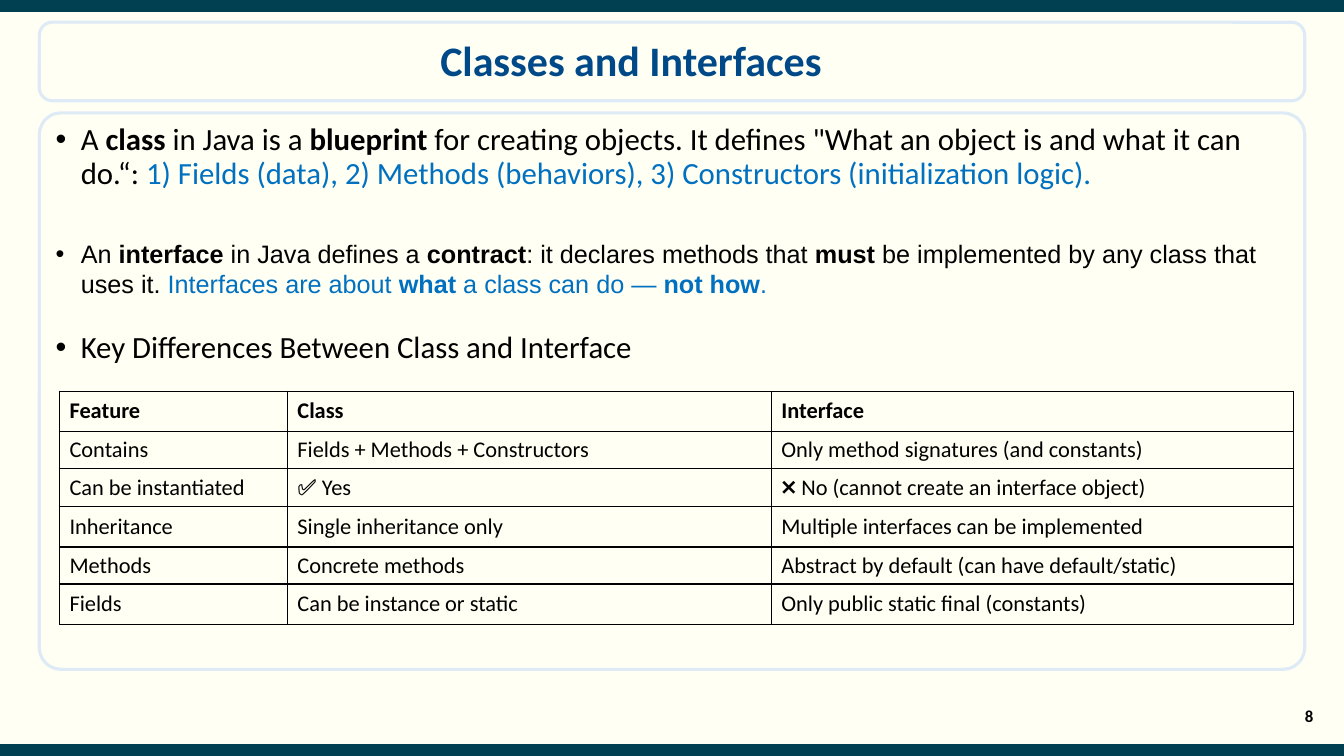
from dataclasses import dataclass

import pptx
import pptx.dml.color
import pptx.enum.shapes
import pptx.enum.text
import pptx.oxml.ns
import pptx.util
from lxml import etree

Inches = pptx.util.Inches
Pt = pptx.util.Pt
qn = pptx.oxml.ns.qn
ANCHOR = pptx.enum.text.MSO_ANCHOR
ALIGN = pptx.enum.text.PP_ALIGN
SHAPE = pptx.enum.shapes.MSO_SHAPE


@dataclass(frozen=True)
class Theme:
    background: str = "FFFFF4"
    bar: str = "004050"
    frame: str = "DEEBF7"
    title: str = "004989"
    ink: str = "000000"
    accent: str = "0070C0"
    font: str = "Calibri"
    alternate_font: str = "Arial"
    title_size: int = 30
    body_size: int = 22
    detail_size: int = 18
    table_size: int = 16
    number_size: int = 12


THEME = Theme()


@dataclass(frozen=True)
class Span:
    text: str
    bold: bool = False
    color: str = THEME.ink


@dataclass(frozen=True)
class Bullet:
    spans: tuple[Span, ...]
    size: int = THEME.body_size
    font: str = THEME.font
    space_before: float = 0
    line_spacing: float = 1.0


@dataclass(frozen=True)
class Area:
    left: float
    top: float
    width: float
    height: float

    def lengths(self) -> tuple:
        return tuple(map(Inches, (self.left, self.top, self.width, self.height)))


SLIDE_WIDTH, SLIDE_HEIGHT = 13.33, 7.5
BAR_CENTRES = (0.06, SLIDE_HEIGHT - 0.06)
TITLE_FRAME = Area(0.39, 0.22, 12.55, 0.78)
TITLE_AREA = Area(0.87, 0.22, 10.78, 0.74)
BODY_FRAME = Area(0.39, 1.12, 12.55, 5.52)
NUMBER_AREA = Area(12.73, 6.83, 0.51, 0.55)
TABLE_AREA = Area(0.59, 3.88, 12.25, 2.31)
COLUMN_WIDTHS = (2.26, 4.8, 5.18)
ROW_HEIGHTS = (0.4, 0.36, 0.38, 0.4, 0.34, 0.4)

BULLETS = (
    Bullet((
        Span("A "),
        Span("class", bold=True),
        Span(" in Java is a "),
        Span("blueprint", bold=True),
        Span(' for creating objects. It defines "What an object is and what it can do.“: '),
        Span("1) Fields (data), 2) Methods (behaviors), 3) Constructors (initialization logic).",
             color=THEME.accent),
    ), line_spacing=0.9),
    Bullet((
        Span("An "),
        Span("interface", bold=True),
        Span(" in Java defines a "),
        Span("contract", bold=True),
        Span(": it declares methods that "),
        Span("must", bold=True),
        Span(" be implemented by any class that uses it. "),
        Span("Interfaces are about ", color=THEME.accent),
        Span("what", bold=True, color=THEME.accent),
        Span(" a class can do — ", color=THEME.accent),
        Span("not how", bold=True, color=THEME.accent),
        Span(".", color=THEME.accent),
    ), size=THEME.detail_size, font=THEME.alternate_font, space_before=34),
    Bullet((Span("Key Differences Between Class and Interface"),), space_before=21),
)

DIFFERENCES = (
    ("Feature", "Class", "Interface"),
    ("Contains", "Fields + Methods + Constructors", "Only method signatures (and constants)"),
    ("Can be instantiated", "✅ Yes", "❌ No (cannot create an interface object)"),
    ("Inheritance", "Single inheritance only", "Multiple interfaces can be implemented"),
    ("Methods", "Concrete methods", "Abstract by default (can have default/static)"),
    ("Fields", "Can be instance or static", "Only public static final (constants)"),
)


def rgb(color: str) -> pptx.dml.color.RGBColor:
    return pptx.dml.color.RGBColor.from_string(color)


def apply(target, values: dict) -> None:
    for name, value in values.items():
        setattr(target, name, value)


def add_span(para, span: Span, size: int, font: str = THEME.font) -> None:
    run = para.add_run()
    run.text = span.text
    apply(run.font, {"name": font, "size": Pt(size), "bold": span.bold})
    run.font.color.rgb = rgb(span.color)


def add_bar(page, centre: float) -> None:
    height = Inches(centre)
    bar = page.shapes.add_connector(
        pptx.enum.shapes.MSO_CONNECTOR.STRAIGHT, 0, height, Inches(SLIDE_WIDTH), height)
    bar.line.color.rgb = rgb(THEME.bar)
    bar.line.width = Pt(9)
    etree.SubElement(bar._element.spPr, qn("a:effectLst"))


def add_frame(page, area: Area, corner: float):
    frame = page.shapes.add_shape(SHAPE.ROUNDED_RECTANGLE, *area.lengths())
    frame.adjustments[0] = corner
    frame.shadow.inherit = False
    frame.fill.background()
    frame.line.color.rgb = rgb(THEME.frame)
    frame.line.width = Pt(2.25)
    return frame


def add_label(page, area: Area, span: Span, size: int) -> None:
    box = page.shapes.add_textbox(*area.lengths())
    apply(box.text_frame, {"word_wrap": True, "vertical_anchor": ANCHOR.MIDDLE})
    para = box.text_frame.paragraphs[0]
    para.alignment = ALIGN.CENTER
    add_span(para, span, size)


def add_bullets(frame, bullets: tuple[Bullet, ...]) -> None:
    text = frame.text_frame
    apply(text, {"word_wrap": True, "vertical_anchor": ANCHOR.TOP})
    for index, bullet in enumerate(bullets):
        para = text.add_paragraph() if index else text.paragraphs[0]
        apply(para, {"alignment": ALIGN.LEFT, "line_spacing": bullet.line_spacing,
                     "space_before": Pt(bullet.space_before)})
        properties = para._p.get_or_add_pPr()
        properties.set("marL", str(Inches(0.25)))
        properties.set("indent", str(Inches(-0.25)))
        etree.SubElement(properties, qn("a:buFont"), typeface="Arial")
        etree.SubElement(properties, qn("a:buChar"), char="•")
        for span in bullet.spans:
            add_span(para, span, bullet.size, bullet.font)


def add_borders(cell) -> None:
    properties = cell._tc.get_or_add_tcPr()
    for side in ("a:lnL", "a:lnR", "a:lnT", "a:lnB"):
        border = etree.SubElement(properties, qn(side), w=str(Pt(1)))
        fill = etree.SubElement(border, qn("a:solidFill"))
        etree.SubElement(fill, qn("a:srgbClr"), val=THEME.ink)


def add_differences(page) -> None:
    table = page.shapes.add_table(
        len(ROW_HEIGHTS), len(COLUMN_WIDTHS), *TABLE_AREA.lengths()).table
    apply(table, {"first_row": False, "horz_banding": False})
    for column, width in zip(table.columns, COLUMN_WIDTHS):
        column.width = Inches(width)
    for index, (row, height, texts) in enumerate(zip(table.rows, ROW_HEIGHTS, DIFFERENCES)):
        row.height = Inches(height)
        for cell, text in zip(row.cells, texts):
            add_borders(cell)
            cell.fill.background()
            cell.vertical_anchor = ANCHOR.MIDDLE
            add_span(cell.text_frame.paragraphs[0], Span(text, bold=index == 0), THEME.table_size)


def main() -> None:
    deck = pptx.Presentation()
    apply(deck, {"slide_width": Inches(SLIDE_WIDTH), "slide_height": Inches(SLIDE_HEIGHT)})
    page = deck.slides.add_slide(deck.slide_layouts[6])
    page.background.fill.solid()
    page.background.fill.fore_color.rgb = rgb(THEME.background)

    # Title frame and edge bars
    add_frame(page, TITLE_FRAME, 0.167)
    for centre in BAR_CENTRES:
        add_bar(page, centre)

    # Title, body and page number
    add_label(page, TITLE_AREA, Span("Classes and Interfaces", True, THEME.title), THEME.title_size)
    add_bullets(add_frame(page, BODY_FRAME, 0.039), BULLETS)
    add_label(page, NUMBER_AREA, Span("8", bold=True), THEME.number_size)

    # Comparison table
    add_differences(page)
    deck.save("out.pptx")


if __name__ == "__main__":
    main()
